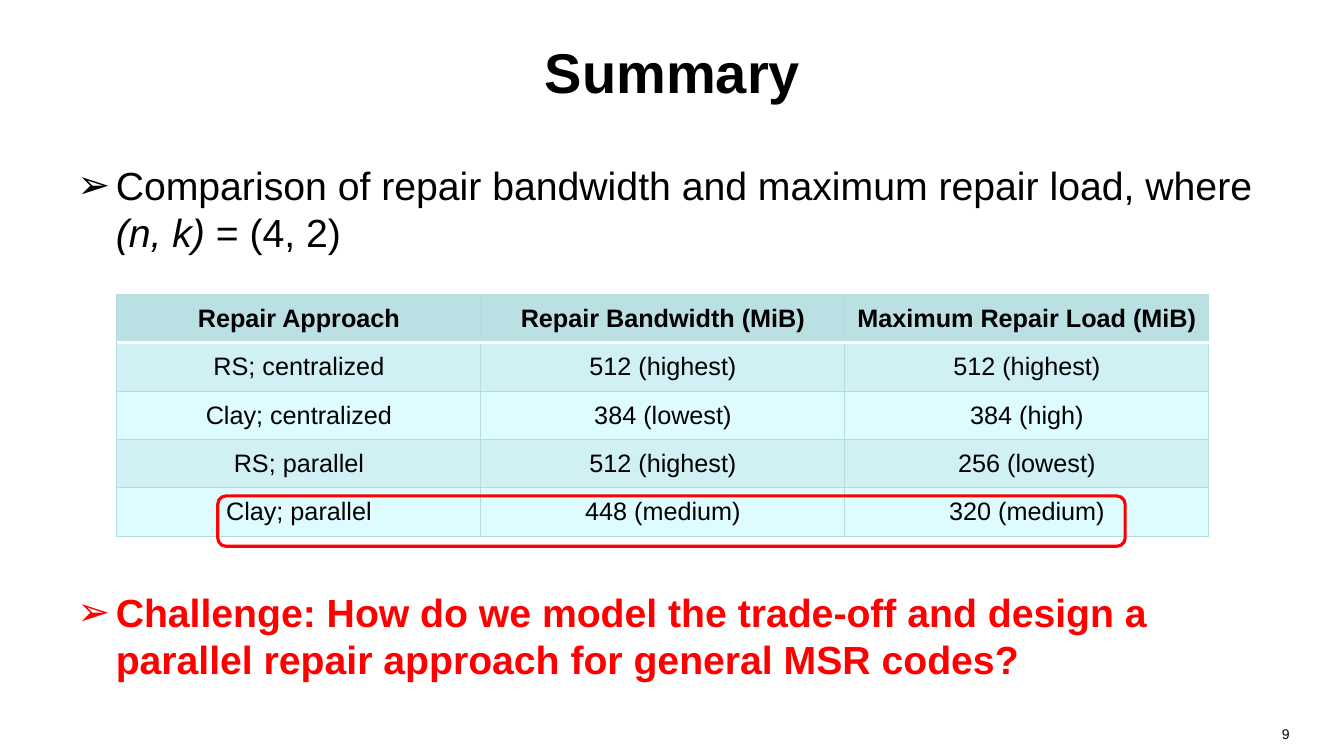
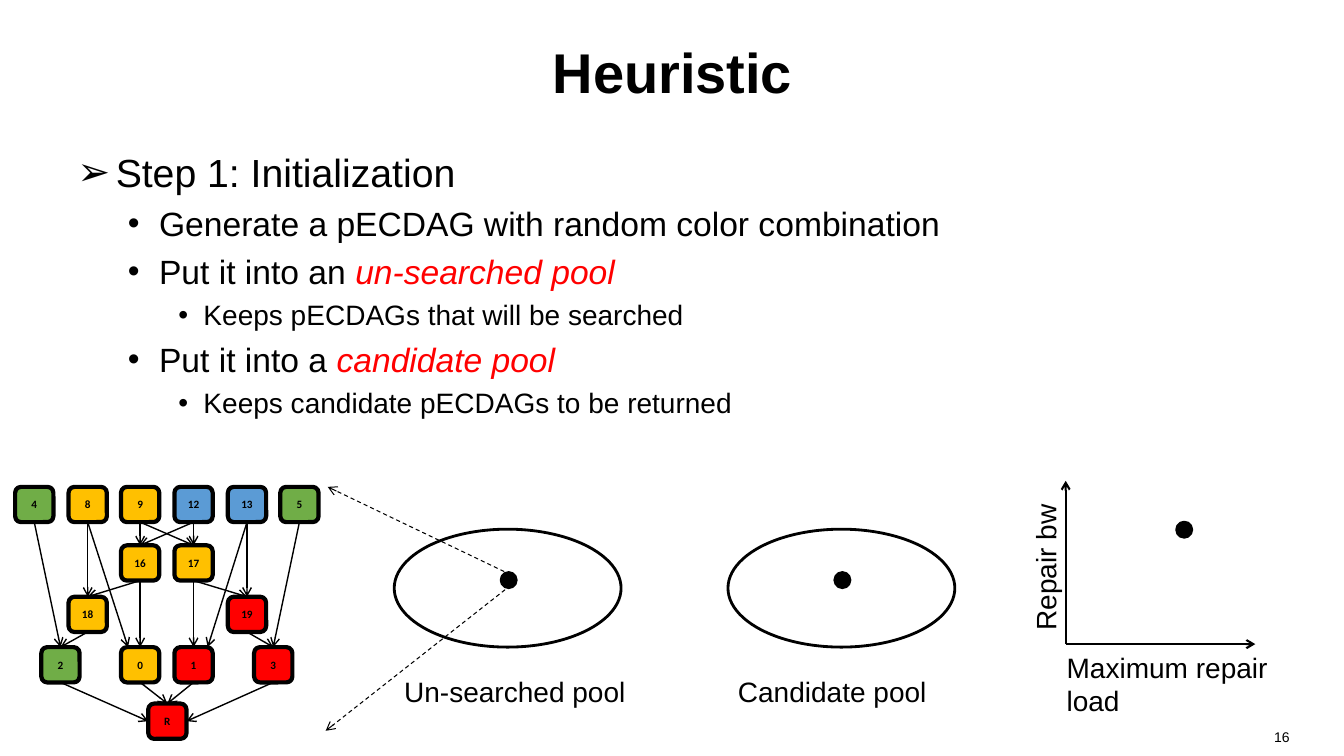
from dataclasses import dataclass

from lxml.etree import SubElement
from pptx import Presentation
from pptx.dml.color import RGBColor
from pptx.enum.dml import MSO_LINE
from pptx.enum.shapes import MSO_CONNECTOR, MSO_SHAPE
from pptx.enum.text import MSO_ANCHOR, PP_ALIGN
from pptx.oxml.ns import qn
from pptx.util import Emu, Pt

PX = 9144  # EMU in one px, 100 px to the inch


@dataclass(frozen=True)
class Theme:
    black: str = "000000"
    white: str = "FFFFFF"
    red: str = "FF0000"
    green: str = "70AD47"
    amber: str = "FFC000"
    blue: str = "5B9BD5"
    header: str = "BBE0E3"
    band: str = "D0F0F4"
    plain: str = "DEFBFF"
    border: str = "B6DCDF"
    font: str = "Arial"
    node_font: str = "Calibri"
    title: int = 40
    label: int = 20
    cell: int = 18
    number: int = 10
    node: int = 8


@dataclass(frozen=True)
class Level:
    mark: str
    size: int
    indent: int
    hang: int
    before: float


THEME = Theme()
LEVELS = (Level("➢", 28, 38, 38, 14),
          Level("•", 24, 81, 31, 5.5),
          Level("•", 20, 125, 25, 4.6))
TOP, LEFT, BOTTOM, RIGHT = range(4)  # connection sites of a node

# Content
REPAIR_ROWS = (
    ("Repair Approach", "Repair Bandwidth (MiB)", "Maximum Repair Load (MiB)"),
    ("RS; centralized", "512 (highest)", "512 (highest)"),
    ("Clay; centralized", "384 (lowest)", "384 (high)"),
    ("RS; parallel", "512 (highest)", "256 (lowest)"),
    ("Clay; parallel", "448 (medium)", "320 (medium)"),
)
EMPHASIS = {"color": THEME.red, "italic": True}
COMPARISON = [(0, [("Comparison of repair bandwidth and maximum repair load, where ", {}),
                   ("(n, k)", {"italic": True}), (" = (4, 2)", {})])]
CHALLENGE = [(0, [("Challenge: How do we model the trade-off and design a parallel "
                   "repair approach for general MSR codes?",
                   {"color": THEME.red, "bold": True})])]
STEPS = [
    (0, [("Step 1: Initialization", {})]),
    (1, [("Generate a pECDAG with random color combination", {})]),
    (1, [("Put it into an ", {}), ("un-searched pool", EMPHASIS)]),
    (2, [("Keeps pECDAGs that will be searched", {})]),
    (1, [("Put it into a ", {}), ("candidate pool", EMPHASIS)]),
    (2, [("Keeps candidate pECDAGs to be returned", {})]),
]
# Graph nodes by row: top, then (name, column, fill)
GRAPH_ROWS = (
    (483, (("4", 0, THEME.green), ("8", 1, THEME.amber), ("9", 2, THEME.amber),
           ("12", 3, THEME.blue), ("13", 4, THEME.blue), ("5", 5, THEME.green))),
    (541, (("16", 2, THEME.amber), ("17", 3, THEME.amber))),
    (592, (("18", 1, THEME.amber), ("19", 4, THEME.red))),
    (642, (("2", 0.5, THEME.green), ("0", 2, THEME.amber),
           ("1", 3, THEME.red), ("3", 4.5, THEME.red))),
    (698, (("R", 2.5, THEME.red),)),
)
# Straight edges run from the bottom of one node to the top of another
GRAPH_EDGES = (
    ("9", "16"), ("9", "17"), ("12", "17"), ("12", "16"), ("8", "18"),
    ("16", "18"), ("16", "0"), ("17", "1"), ("17", "19"), ("13", "19"),
    ("4", "2"), ("18", "2"), ("19", "3"), ("5", "3"), ("0", "R"), ("1", "R"),
)
SHIFTED_EDGES = (("8", "0", -12), ("13", "1", 14))
SIDE_EDGES = (("2", "R", LEFT), ("3", "R", RIGHT))


# Basic helpers
def px(*lengths):
    return [Emu(round(length * PX)) for length in lengths]


def rgb(color):
    return RGBColor.from_string(color)


def add_span(para, text, size, color=THEME.black, bold=False, italic=False,
             font=THEME.font):
    span = para.add_run()
    span.text = text
    span.font.name, span.font.size = font, Pt(size)
    span.font.bold, span.font.italic = bold, italic
    span.font.color.rgb = rgb(color)


def set_margins(target, side, vertical):
    target.margin_left, target.margin_right = px(side, side)
    target.margin_top, target.margin_bottom = px(vertical, vertical)


# Text elements
def add_box(page, left, top, width, height):
    box = page.shapes.add_textbox(*px(left, top, width, height))
    box.text_frame.word_wrap = True
    set_margins(box.text_frame, 10, 5)
    return box


def add_label(page, text, place, size=THEME.label, align=PP_ALIGN.LEFT):
    box = add_box(page, *place)
    para = box.text_frame.paragraphs[0]
    para.alignment = align
    add_span(para, text, size)
    return box


def add_bullets(page, items, place):
    frame = add_box(page, *place).text_frame
    for index, (depth, spans) in enumerate(items):
        level = LEVELS[depth]
        para = frame.add_paragraph() if index else frame.paragraphs[0]
        para.level = depth
        props = para._p.get_or_add_pPr()
        props.set("marL", str(level.indent * PX))
        props.set("indent", str(-level.hang * PX))
        SubElement(props, qn("a:buFont")).set("typeface", THEME.font)
        SubElement(props, qn("a:buChar")).set("char", level.mark)
        if index:
            para.space_before = Pt(level.before)
        for text, style in spans:
            add_span(para, text, level.size, **style)


def add_page(deck, title, number, number_top):
    page = deck.slides.add_slide(deck.slide_layouts[5])
    holder = page.shapes.title
    holder.left, holder.top, holder.width, holder.height = px(67, 8, 1200, 125)
    frame = holder.text_frame
    frame.vertical_anchor = MSO_ANCHOR.MIDDLE
    para = frame.paragraphs[0]
    para.alignment = PP_ALIGN.CENTER
    add_span(para, title, THEME.title, bold=True)
    add_label(page, number, (978, number_top, 311, 35), THEME.number, PP_ALIGN.RIGHT)
    return page


# Drawn elements
def add_outline(page, kind, place, line, weight, fill=None):
    shape = page.shapes.add_shape(kind, *px(*place))
    shape.shadow.inherit = False
    shape.line.color.rgb, shape.line.width = rgb(line), Pt(weight)
    if fill:
        shape.fill.solid()
        shape.fill.fore_color.rgb = rgb(fill)
    else:
        shape.fill.background()
    return shape


def add_dot(page, left, top):
    add_outline(page, MSO_SHAPE.OVAL, (left, top, 15, 15), THEME.black, 2, THEME.black)


def add_arrow(page, start, end, weight, dash=None):
    arrow = page.shapes.add_connector(MSO_CONNECTOR.STRAIGHT, *px(*start, *end))
    arrow.line.color.rgb, arrow.line.width = rgb(THEME.black), Pt(weight)
    if dash:
        arrow.line.dash_style = dash
    SubElement(arrow.line._get_or_add_ln(), qn("a:tailEnd")).set("type", "arrow")
    SubElement(arrow._element.spPr, qn("a:effectLst"))
    return arrow


def add_node(page, name, left, top, fill):
    node = add_outline(page, MSO_SHAPE.ROUNDED_RECTANGLE, (left, top, 38, 35),
                       THEME.black, 3, fill)
    frame = node.text_frame
    set_margins(frame, 0, 0)
    frame.vertical_anchor = MSO_ANCHOR.MIDDLE
    para = frame.paragraphs[0]
    para.alignment = PP_ALIGN.CENTER
    add_span(para, name, THEME.node, bold=True, font=THEME.node_font)
    return node


def add_edge(page, source, target, site=TOP, shift=0):
    edge = add_arrow(page, (0, 0), (0, 0), 1)
    edge.begin_connect(source, BOTTOM)
    if shift:
        edge.end_x = target.left + target.width // 2 + shift * PX
        edge.end_y = target.top
    else:
        edge.end_connect(target, site)


def add_graph(page):
    nodes = {}
    for top, row in GRAPH_ROWS:
        for name, column, fill in row:
            nodes[name] = add_node(page, name, round(15 + 52.7 * column), top, fill)
    for source, target in GRAPH_EDGES:
        add_edge(page, nodes[source], nodes[target])
    for source, target, shift in SHIFTED_EDGES:
        add_edge(page, nodes[source], nodes[target], shift=shift)
    for source, target, site in SIDE_EDGES:
        add_edge(page, nodes[source], nodes[target], site)


def add_pool(page, name, left):
    add_outline(page, MSO_SHAPE.OVAL, (left, 525, 225, 117), THEME.black, 2, THEME.white)
    add_dot(page, left + 106, 568)
    add_label(page, name, (left, 664, 242, 44))


def add_axes(page):
    origin = (1057, 639)
    for end in ((1245, 639), (1057, 477)):
        add_arrow(page, origin, end, 1.5)
    add_label(page, "Maximum repair load", (1048, 640, 225, 76))
    side_label = add_label(page, "Repair bw", (957, 541, 160, 44), align=PP_ALIGN.CENTER)
    side_label.rotation = 270
    add_dot(page, 1167, 518)


# Table
def add_border(cell, side, color, weight):
    line = SubElement(cell._tc.get_or_add_tcPr(), qn(f"a:ln{side}"), w=str(Pt(weight)))
    fill = SubElement(line, qn("a:solidFill"))
    SubElement(fill, qn("a:srgbClr")).set("val", color)


def format_cell(cell, text, row):
    thin, thick = (THEME.border, 0.75), (THEME.white, 2)
    borders = {"L": thin, "R": thin, "T": thick if row == 1 else thin,
               "B": thick if row == 0 else thin}
    for side, (color, weight) in borders.items():
        add_border(cell, side, color, weight)
    cell.fill.solid()
    shade = THEME.header if row == 0 else THEME.band if row % 2 else THEME.plain
    cell.fill.fore_color.rgb = rgb(shade)
    set_margins(cell, 10, 9)
    cell.vertical_anchor = MSO_ANCHOR.MIDDLE
    para = cell.text_frame.paragraphs[0]
    para.alignment = PP_ALIGN.CENTER
    add_span(para, text, THEME.cell, bold=row == 0)


def add_repair_table(page):
    rows, columns = len(REPAIR_ROWS), len(REPAIR_ROWS[0])
    place = px(116, 292, 361 * columns, 48 * rows)
    table = page.shapes.add_table(rows, columns, *place).table
    for column in table.columns:
        column.width = px(361)[0]
    for row, texts in enumerate(REPAIR_ROWS):
        table.rows[row].height = px(48)[0]
        for column, text in enumerate(texts):
            format_cell(table.cell(row, column), text, row)


# Slides
def build_summary(deck):
    page = add_page(deck, "Summary", "9", 715)
    add_bullets(page, COMPARISON, (67, 155, 1200, 110))
    add_repair_table(page)
    add_outline(page, MSO_SHAPE.ROUNDED_RECTANGLE, (216, 492, 900, 50), THEME.red, 2.25)
    add_bullets(page, CHALLENGE, (67, 579, 1200, 110))


def build_heuristic(deck):
    page = add_page(deck, "Heuristic", "16", 718)
    add_bullets(page, STEPS, (67, 142, 1200, 297))
    add_axes(page)
    for index, name in enumerate(("Un-searched pool", "Candidate pool")):
        add_pool(page, name, 391 + 331 * index)
    add_graph(page)
    for start, end in (((500, 567), (325, 483)), ((501, 585), (323, 725))):
        add_arrow(page, start, end, 0.75, MSO_LINE.DASH)


def main():
    deck = Presentation()
    deck.slide_width, deck.slide_height = px(1333, 750)
    build_summary(deck)
    build_heuristic(deck)
    deck.save("out.pptx")


if __name__ == "__main__":
    main()
